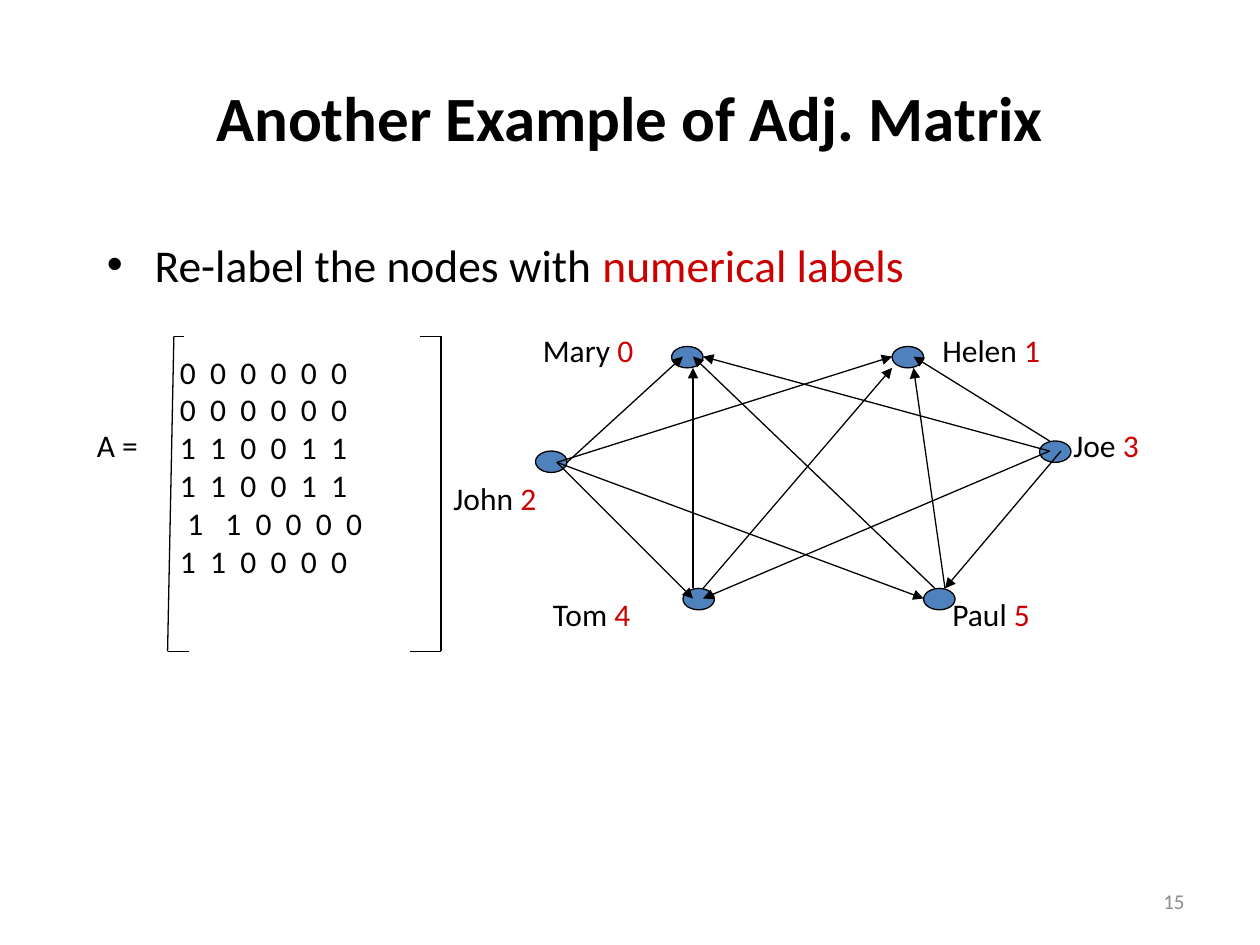
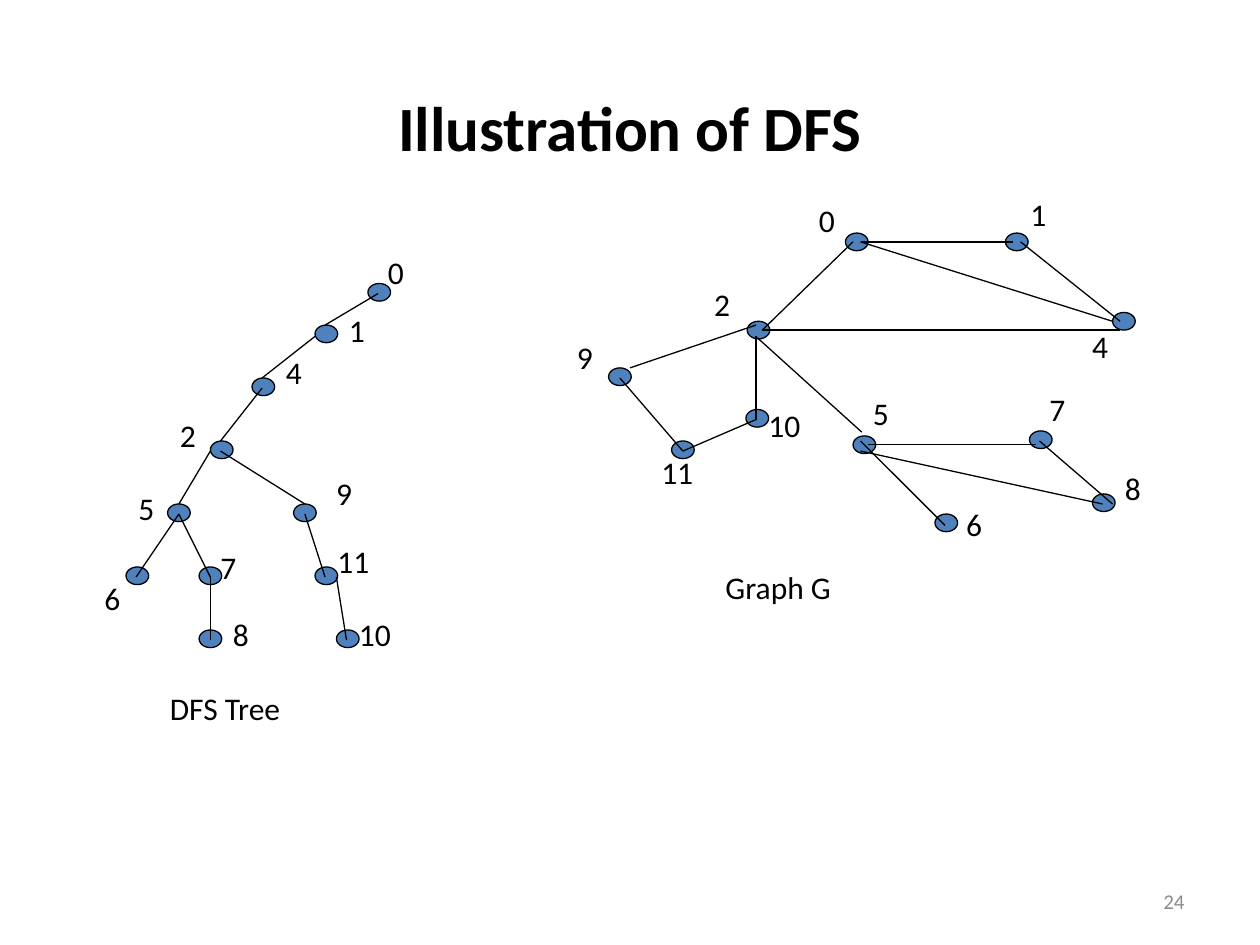
"""Build two slides on adjacency matrices and depth-first search."""
from dataclasses import dataclass
from typing import Any

import pptx
import pptx.dml.color
import pptx.enum.shapes
import pptx.enum.text
import pptx.oxml.ns
import pptx.slide
import pptx.util
from lxml import etree

Inches = pptx.util.Inches
ALIGN = pptx.enum.text.PP_ALIGN
ANCHOR = pptx.enum.text.MSO_ANCHOR
qn = pptx.oxml.ns.qn

COLORS = {"text": "000000", "accent": "CC0000", "node": "4F81BD",
          "line": "000000", "number": "8C8C8C"}
FONT = {"name": "Calibri", "bold": False}
FORMATS: dict[str, dict[str, Any]] = {
    "title": FONT | {"size": pptx.util.Pt(36), "bold": True},
    "body": FONT | {"size": pptx.util.Pt(26)},
    "label": FONT | {"size": pptx.util.Pt(18)},
    "number": FONT | {"size": pptx.util.Pt(12)},
}
DIGIT_PITCH = 0.24

Run = tuple[str, str]


@dataclass(frozen=True)
class Box:
    left: float
    top: float
    width: float
    height: float

    def lengths(self) -> list[pptx.util.Length]:
        return [Inches(value) for value in (self.left, self.top, self.width, self.height)]


@dataclass(frozen=True)
class Vertex:
    left: float
    top: float
    name: str
    name_left: float
    name_top: float
    number: str = ""

    def name_width(self) -> float:
        return 1.25 if self.number else 0.21 + 0.16 * len(self.name)


@dataclass(frozen=True)
class Edge:
    x1: float
    y1: float
    x2: float
    y2: float


@dataclass(frozen=True)
class Graph:
    vertex_width: float
    vertex_height: float
    vertices: list[Vertex]
    edges: list[Edge]
    directed: bool = False


NUMBER_BOX = Box(7.17, 6.95, 2.33, 0.4)

PEOPLE = Graph(0.25, 0.17, [
    Vertex(4.25, 3.58, "John ", 3.5, 3.75, "2"),
    Vertex(5.33, 2.75, "Mary ", 4.21, 2.58, "0"),
    Vertex(5.42, 4.67, "Tom ", 4.29, 4.67, "4"),
    Vertex(7.33, 4.67, "Paul ", 7.46, 4.67, "5"),
    Vertex(8.25, 3.5, "Joe ", 8.42, 3.33, "3"),
    Vertex(7.08, 2.75, "Helen ", 7.38, 2.58, "1"),
], [
    Edge(4.5, 3.67, 5.42, 2.83),
    Edge(4.42, 3.67, 7.08, 2.83),
    Edge(8.33, 3.5, 7.25, 2.83),
    Edge(8.33, 3.58, 5.58, 2.83),
    Edge(4.42, 3.67, 5.5, 4.75),
    Edge(4.42, 3.67, 7.33, 4.75),
    Edge(8.33, 3.58, 5.58, 4.75),
    Edge(8.42, 3.58, 7.5, 4.67),
    Edge(5.5, 4.67, 5.5, 2.92),
    Edge(7.5, 4.67, 7.25, 2.92),
    Edge(5.58, 4.67, 7.08, 2.92),
    Edge(7.42, 4.67, 5.5, 2.83),
], directed=True)

GRAPH_G = Graph(0.18, 0.14, [
    Vertex(6.71, 1.85, "0", 6.4, 1.55),
    Vertex(7.98, 1.85, "1", 8.08, 1.5),
    Vertex(5.93, 2.55, "2", 5.57, 2.21),
    Vertex(8.83, 2.48, "4", 8.57, 2.55),
    Vertex(6.77, 3.46, "5", 6.83, 3.08),
    Vertex(7.42, 4.08, "6", 7.57, 3.96),
    Vertex(8.17, 3.42, "7", 8.23, 3.05),
    Vertex(8.67, 3.92, "8", 8.83, 3.67),
    Vertex(4.83, 2.92, "9", 4.48, 2.63),
    Vertex(5.92, 3.25, "10", 6, 3.17),
    Vertex(5.33, 3.5, "11", 5.15, 3.55),
], [
    Edge(6.83, 1.92, 8.04, 1.92),
    Edge(6.05, 2.62, 8.89, 2.62),
    Edge(6.05, 2.62, 6.77, 1.92),
    Edge(8.1, 1.92, 8.89, 2.55),
    Edge(6.89, 3.53, 8.22, 3.53),
    Edge(6.83, 1.92, 8.83, 2.55),
    Edge(6.84, 3.43, 6.01, 2.68),
    Edge(8.25, 3.5, 8.83, 4),
    Edge(6.83, 3.5, 7.5, 4.17),
    Edge(6.83, 3.58, 8.75, 4),
    Edge(6, 2.58, 5, 2.92),
    Edge(6, 2.67, 6, 3.33),
    Edge(4.92, 3, 5.42, 3.58),
    Edge(6, 3.33, 5.42, 3.58),
])

DFS_TREE = Graph(0.18, 0.14, [
    Vertex(2.92, 2.25, "0", 2.98, 1.96),
    Vertex(2.5, 2.58, "1", 2.67, 2.42),
    Vertex(2, 3, "4", 2.17, 2.75),
    Vertex(1.67, 3.5, "2", 1.33, 3.25),
    Vertex(1.33, 4, "5", 1, 3.83),
    Vertex(2.33, 4, "9", 2.57, 3.71),
    Vertex(1, 4.5, "6", 0.73, 4.55),
    Vertex(1.58, 4.5, "7", 1.65, 4.3),
    Vertex(1.58, 5, "8", 1.75, 4.83),
    Vertex(2.5, 4.5, "11", 2.58, 4.25),
    Vertex(2.67, 5, "10", 2.75, 4.83),
], [
    Edge(2.08, 3, 2.5, 2.67),
    Edge(2.58, 2.58, 3, 2.33),
    Edge(2.08, 3.08, 1.75, 3.5),
    Edge(1.42, 4, 1.67, 3.58),
    Edge(1.08, 4.58, 1.42, 4.08),
    Edge(1.42, 4.08, 1.67, 4.58),
    Edge(1.67, 4.58, 1.67, 5.08),
    Edge(1.75, 3.58, 2.42, 4),
    Edge(2.42, 4.08, 2.58, 4.58),
    Edge(2.67, 4.58, 2.75, 5.08),
])

MATRIX = ["000000", "000000", "110011", "110011", "110000", "110000"]
MATRIX_INDENTS = {4: 0.06}
BRACKETS = [
    Edge(1.46, 2.67, 1.38, 2.67), Edge(1.38, 2.67, 1.33, 5.17), Edge(1.33, 5.17, 1.5, 5.17),
    Edge(3.33, 2.67, 3.5, 2.67), Edge(3.5, 2.67, 3.5, 5.17), Edge(3.5, 5.17, 3.25, 5.17),
]


def rgb(role: str) -> pptx.dml.color.RGBColor:
    return pptx.dml.color.RGBColor.from_string(COLORS[role])


def write(paragraph: Any, runs: list[Run], style: str) -> None:
    for text, role in runs:
        run = paragraph.add_run()
        run.text = text
        for attribute, value in FORMATS[style].items():
            setattr(run.font, attribute, value)
        run.font.color.rgb = rgb(role)


def add_text(slide: pptx.slide.Slide, box: Box, runs: list[Run], style: str = "label",
             align: Any = ALIGN.LEFT, anchor: Any = ANCHOR.TOP) -> Any:
    frame = slide.shapes.add_textbox(*box.lengths()).text_frame
    for attribute, value in {"word_wrap": True, "vertical_anchor": anchor}.items():
        setattr(frame, attribute, value)
    frame.paragraphs[0].alignment = align
    write(frame.paragraphs[0], runs, style)
    return frame


def add_edge(slide: pptx.slide.Slide, edge: Edge, arrow: bool = False) -> None:
    ends = [Inches(value) for value in (edge.x1, edge.y1, edge.x2, edge.y2)]
    connector = slide.shapes.add_connector(pptx.enum.shapes.MSO_CONNECTOR.STRAIGHT, *ends)
    connector.line.color.rgb = rgb("line")
    connector.line.width = pptx.util.Pt(0.75)
    properties = connector.line._get_or_add_ln()
    if arrow:
        etree.SubElement(properties, qn("a:tailEnd"), type="triangle")
    etree.SubElement(properties.getparent(), qn("a:effectLst"))


def add_vertex(slide: pptx.slide.Slide, box: Box) -> None:
    ellipse = slide.shapes.add_shape(pptx.enum.shapes.MSO_SHAPE.OVAL, *box.lengths())
    ellipse.shadow.inherit = False
    ellipse.fill.solid()
    ellipse.fill.fore_color.rgb = rgb("node")
    ellipse.line.color.rgb = rgb("line")
    ellipse.line.width = pptx.util.Pt(0.75)


def add_graph(slide: pptx.slide.Slide, graph: Graph) -> None:
    for vertex in graph.vertices:
        add_vertex(slide, Box(vertex.left, vertex.top, graph.vertex_width, graph.vertex_height))
    for vertex in graph.vertices:
        runs = [(vertex.name, "text")]
        if vertex.number:
            runs.append((vertex.number, "accent"))
        add_text(slide, Box(vertex.name_left, vertex.name_top, vertex.name_width(), 0.5), runs)
    for edge in graph.edges:
        add_edge(slide, edge, graph.directed)


def add_bullet(slide: pptx.slide.Slide, box: Box, runs: list[Run]) -> None:
    frame = add_text(slide, box, runs, "body")
    properties = frame.paragraphs[0]._p.get_or_add_pPr()
    properties.set("marL", str(Inches(0.38)))
    properties.set("indent", str(-Inches(0.38)))
    etree.SubElement(properties, qn("a:buFont"), typeface="Arial")
    etree.SubElement(properties, qn("a:buChar"), char="•")


def add_matrix(slide: pptx.slide.Slide, box: Box) -> None:
    frame = add_text(slide, box, [])
    for index, row in enumerate(MATRIX):
        paragraph = frame.paragraphs[0] if index == 0 else frame.add_paragraph()
        indent = MATRIX_INDENTS.get(index, 0)
        properties = paragraph._p.get_or_add_pPr()
        properties.set("marL", str(Inches(indent)))
        stops = etree.SubElement(properties, qn("a:tabLst"))
        for column in range(1, len(row)):
            position = Inches(indent + column * DIGIT_PITCH)
            etree.SubElement(stops, qn("a:tab"), pos=str(position), algn="l")
        write(paragraph, [("\t".join(row), "text")], "label")
    for edge in BRACKETS:
        add_edge(slide, edge)


def start_slide(deck: Any, title: str, title_box: Box, number: str) -> pptx.slide.Slide:
    slide = deck.slides.add_slide(deck.slide_layouts[6])
    add_text(slide, NUMBER_BOX, [(number, "number")], "number", ALIGN.RIGHT, ANCHOR.MIDDLE)
    add_text(slide, title_box, [(title, "text")], "title", ALIGN.CENTER, ANCHOR.MIDDLE)
    return slide


def build_matrix_slide(deck: Any) -> None:
    slide = start_slide(deck, "Another Example of Adj. Matrix", Box(0.5, 0.3, 9, 1.25), "15")
    add_bullet(slide, Box(0.75, 1.83, 8.5, 4.5),
               [("Re-label the nodes with ", "text"), ("numerical labels", "accent")])
    add_graph(slide, PEOPLE)
    add_matrix(slide, Box(1.33, 2.75, 2.2, 2.5))
    add_text(slide, Box(0.67, 3.33, 0.71, 0.5), [("A =", "text")])


def build_search_slide(deck: Any) -> None:
    slide = start_slide(deck, "Illustration of DFS", Box(0.75, 0.67, 8.5, 0.67), "24")
    add_graph(slide, GRAPH_G)
    add_graph(slide, DFS_TREE)
    add_text(slide, Box(1.25, 5.42, 1.51, 0.5), [("DFS Tree", "text")])
    add_text(slide, Box(5.66, 4.46, 1.36, 0.5), [("Graph G", "text")])


def main() -> None:
    deck = pptx.Presentation()
    deck.slide_width, deck.slide_height = Inches(10), Inches(7.5)
    build_matrix_slide(deck)
    build_search_slide(deck)
    deck.save("out.pptx")


if __name__ == "__main__":
    main()
